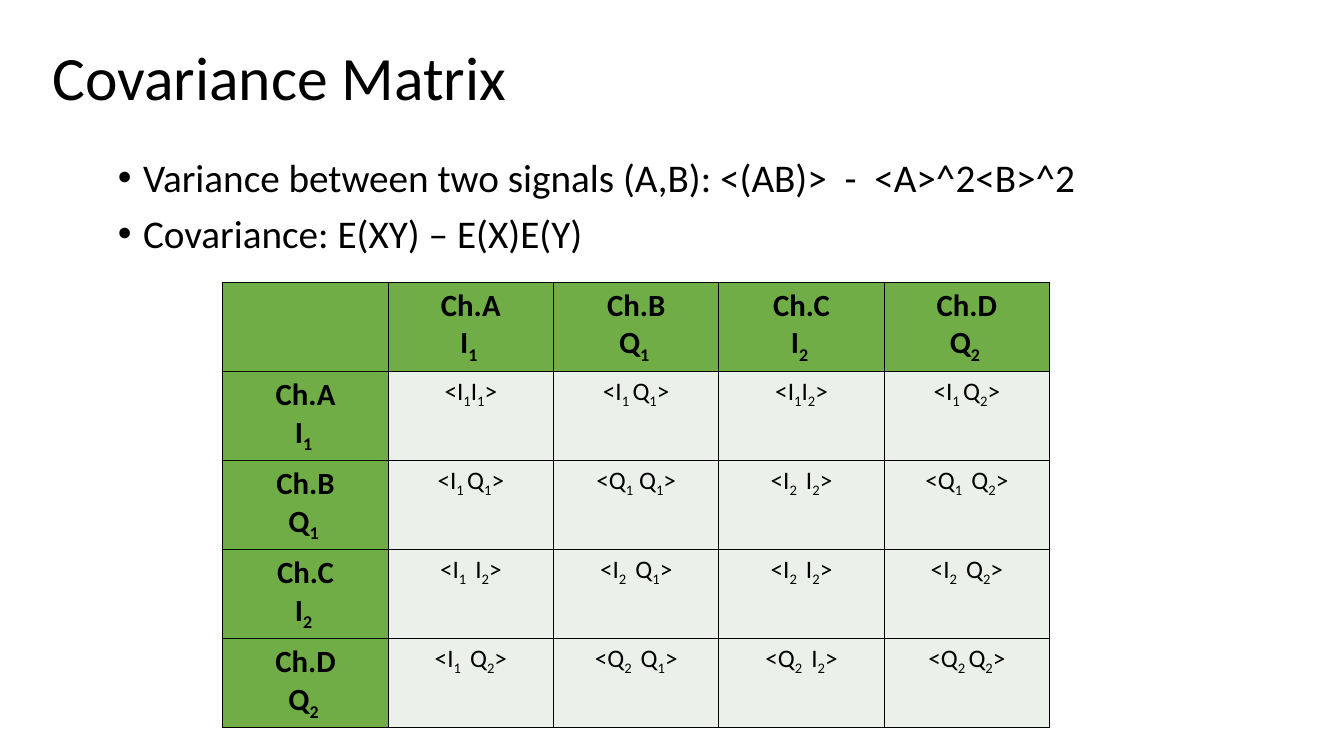
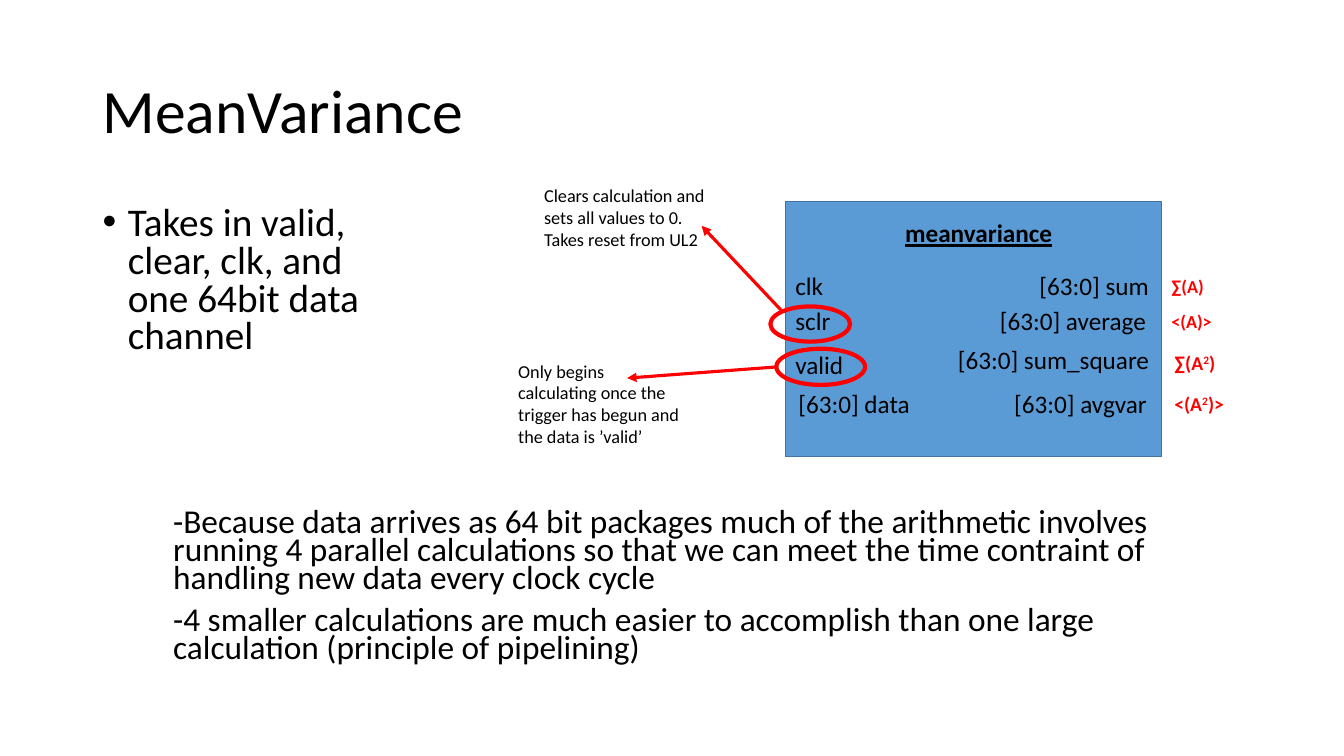
from lxml import etree
from pptx import Presentation
from pptx import util as u
from pptx.dml.color import RGBColor
from pptx.enum import shapes, text
from pptx.oxml import ns

WIDE, HIGH = 13.33, 7.5
PAGE = (0, 0, WIDE, HIGH)
FONT = "Calibri"
BLACK = RGBColor(0, 0, 0)
RED = RGBColor(255, 0, 0)
GREEN = RGBColor(0x70, 0xAD, 0x47)
PALE = RGBColor(0xEB, 0xF1, 0xE9)
BLUE = RGBColor(0x5B, 0x9B, 0xD5)
NAVY = RGBColor(0x43, 0x73, 0x9E)
SUB, SUP = -25000, 30000

HEADS = ["Ch.A\nI|1 ", "Ch.B\nQ|1 ", "Ch.C\nI|2 ", "Ch.D\nQ|2 "]
CELLS = [
    ["<I|1|I|1|>", "<I|1 |Q|1|>", "<I|1|I|2|>", "<I|1 |Q|2|>"],
    ["<I|1 |Q|1|>", "<Q|1| Q|1|>", "<I|2 | I|2|>", "<Q|1 | Q|2|>"],
    ["<I|1 | I|2|>", "<I|2 | Q|1|>", "<I|2 | I|2|>", "<I|2 | Q|2|>"],
    ["<I|1 | Q|2|>", "<Q|2 | Q|1|>", "<Q|2 | I|2|>", "<Q|2 |Q|2|>"],
]
PORTS = [
    ("clk", 0, 25, 14.5),
    ("sclr", 0, 38.7, 24.7),
    ("valid", 0, 56.1, 24.7),
    ("[63:0] data", 0.8, 71.1, 36),
    ("[63:0] sum", 64.9, 25, 35.1),
    ("[63:0] average", 54.4, 38.7, 45.6),
    ("[63:0] sum_square", 43.2, 54.1, 57.5),
    ("[63:0] avgvar", 58.2, 71.1, 41.6),
]
MATHS = [
    ("∑(A)", 100, 26.9, 13.9, 13),
    ("<(A)>", 100, 40.7, 16.1, 13),
    ("∑(A|2|)", 100.8, 56.5, 16.6, 14),
    ("<(A|2|)>", 100.8, 72.7, 19, 14),
]
RINGS = [(-4, 41.1, 21.2, 13.8), (-2.4, 57.7, 23.6, 14.2)]
ARROWS = [(-0.8, 43.1, -22.3, 9.5), (-2.1, 64.8, -42.1, 69.2)]
CALLS = [
    ("Clears calculation and sets all values to 0.\nTakes reset from UL2",
     -66.8, -8.7, 49.6, 30),
    ("Only begins calculating once the trigger has begun and the data is ’valid’",
     -73.7, 60.1, 49.6, 38.7),
]


def part(box, x, y, w, h):
    """Return the box lying at percent shares of another box."""
    left, top, wide, high = box
    return (left + wide * x / 100, top + high * y / 100,
            wide * w / 100, high * h / 100)


def inch(box):
    """Turn a tuple of inches into lengths."""
    return [u.Inches(n) for n in box]


def add(parent, tag, **attrs):
    """Append a drawing element to a parent."""
    return etree.SubElement(parent, ns.qn("a:" + tag), attrs)


def style(para, size, color=BLACK, bold=False, line=False):
    """Format every run of a paragraph."""
    for run in para.runs:
        font = run.font
        font.name, font.size, font.bold = FONT, u.Pt(size), bold
        font.color.rgb = color
        if line:
            font.underline = True


def shift(para, words, base):
    """Write words, moving every second piece off the baseline."""
    for i, piece in enumerate(words.split("|")):
        run = para.add_run()
        run.text = piece
        if i % 2:
            run.font._element.set("baseline", str(base))


def write(slide, box, words, size, gap=None, bullet=False, wrap=True,
          middle=False, **look):
    """Place a text box with one paragraph a line."""
    frame = slide.shapes.add_textbox(*inch(box)).text_frame
    frame.word_wrap = wrap
    if middle:
        frame.vertical_anchor = text.MSO_ANCHOR.MIDDLE
    for i, row in enumerate(words.split("\n")):
        para = frame.add_paragraph() if i else frame.paragraphs[0]
        shift(para, row, SUP)
        if bullet:
            props = para._p.get_or_add_pPr()
            props.set("marL", str(u.Inches(0.25)))
            props.set("indent", str(-u.Inches(0.25)))
            add(props, "buFont", typeface="Arial")
            add(props, "buChar", char="•")
        if gap:
            para.line_spacing = gap
            if i:
                para.space_before = u.Pt(10)
        style(para, size, **look)


def title(slide, box, words):
    """Place a slide title."""
    write(slide, box, words, 44, gap=0.9, middle=True)


def fill(cell, words, head):
    """Fill and border one table cell."""
    props = cell._tc.get_or_add_tcPr()
    for side in ("lnL", "lnR", "lnT", "lnB"):
        edge = add(props, side, w=str(u.Pt(1)))
        add(add(edge, "solidFill"), "srgbClr", val=str(BLACK))
    cell.fill.solid()
    cell.fill.fore_color.rgb = GREEN if head else PALE
    if not words:
        return
    for i, row in enumerate(words.split("\n")):
        frame = cell.text_frame
        para = frame.add_paragraph() if i else frame.paragraphs[0]
        para.alignment = text.PP_ALIGN.CENTER
        shift(para, row, SUB)
        style(para, 22 if head else 18, bold=head)


def matrix(slide, box):
    """Draw the table of signal products."""
    rows = [[""] + HEADS] + [[h] + r for h, r in zip(HEADS, CELLS)]
    count = len(rows)
    grid = slide.shapes.add_table(count, count, *inch(box)).table
    grid.horz_banding = False
    for r, row in enumerate(rows):
        for c, words in enumerate(row):
            fill(grid.cell(r, c), words, r == 0 or c == 0)


def form(slide, kind, box, color, width, paint=None):
    """Draw a plain outlined shape."""
    item = slide.shapes.add_shape(kind, *inch(box))
    item.shadow.inherit = False
    if paint is None:
        item.fill.background()
    else:
        item.fill.solid()
        item.fill.fore_color.rgb = paint
    item.line.color.rgb = color
    item.line.width = u.Pt(width)


def arrow(slide, box, x, y, tox, toy):
    """Draw a red arrow between two points of a box."""
    start = part(box, x, y, 0, 0)[:2]
    end = part(box, tox, toy, 0, 0)[:2]
    link = slide.shapes.add_connector(
        shapes.MSO_CONNECTOR.STRAIGHT, *inch(start + end))
    link.line.color.rgb = RED
    link.line.width = u.Pt(2.25)
    add(link.line._get_or_add_ln(), "tailEnd", type="triangle")
    add(link._element.spPr, "effectLst")


def chip(slide, box):
    """Draw the module with its ports, rings and callouts."""
    kinds = shapes.MSO_SHAPE
    form(slide, kinds.RECTANGLE, box, NAVY, 1, BLUE)
    write(slide, part(box, 29.2, 4.3, 65.4, 15.8), "meanvariance", 18,
          bold=True, line=True)
    for words, x, y, w in PORTS:
        write(slide, part(box, x, y, w, 15.8), words, 18)
    for ring in RINGS:
        form(slide, kinds.OVAL, part(box, *ring), RED, 3)
    for ends in ARROWS:
        arrow(slide, box, *ends)
    for words, *spot in CALLS:
        write(slide, part(box, *spot), words, 13)
    for words, x, y, w, size in MATHS:
        write(slide, part(box, x, y, w, 13), words, size, wrap=False,
              color=RED, bold=True)


def table(slide, box):
    """Build the covariance slide."""
    title(slide, part(box, 3.15, 0.93, 86.27, 19.33), "Covariance Matrix")
    write(slide, part(box, 8.03, 20.27, 85.15, 69.87),
          "Variance between two signals (A,B): <(AB)>  -  <A>^2<B>^2\n"
          "Covariance: E(XY) – E(X)E(Y)", 28, gap=0.9, bullet=True)
    matrix(slide, part(box, 16.58, 37.33, 61.52, 51.33))


def module(slide, box):
    """Build the module slide."""
    title(slide, part(box, 6.9, 5.33, 86.27, 19.33), "MeanVariance")
    write(slide, part(box, 6.9, 26.67, 23.48, 23.33),
          "Takes in valid, clear, clk, and one 64bit data channel",
          28, gap=0.8, bullet=True)
    chip(slide, part(box, 58.44, 26.67, 27.98, 33.73))
    write(slide, part(box, 12.15, 66.93, 75.77, 23.33),
          "-Because data arrives as 64 bit packages much of the arithmetic "
          "involves running 4 parallel calculations so that we can meet the "
          "time contraint of handling new data every clock cycle\n"
          "-4 smaller calculations are much easier to accomplish than one "
          "large calculation (principle of pipelining)", 23.8, gap=0.7)


def main():
    """Build and save the deck."""
    deck = Presentation()
    deck.slide_width, deck.slide_height = inch((WIDE, HIGH))
    for build in (table, module):
        build(deck.slides.add_slide(deck.slide_layouts[6]), PAGE)
    deck.save("out.pptx")


if __name__ == "__main__":
    main()
